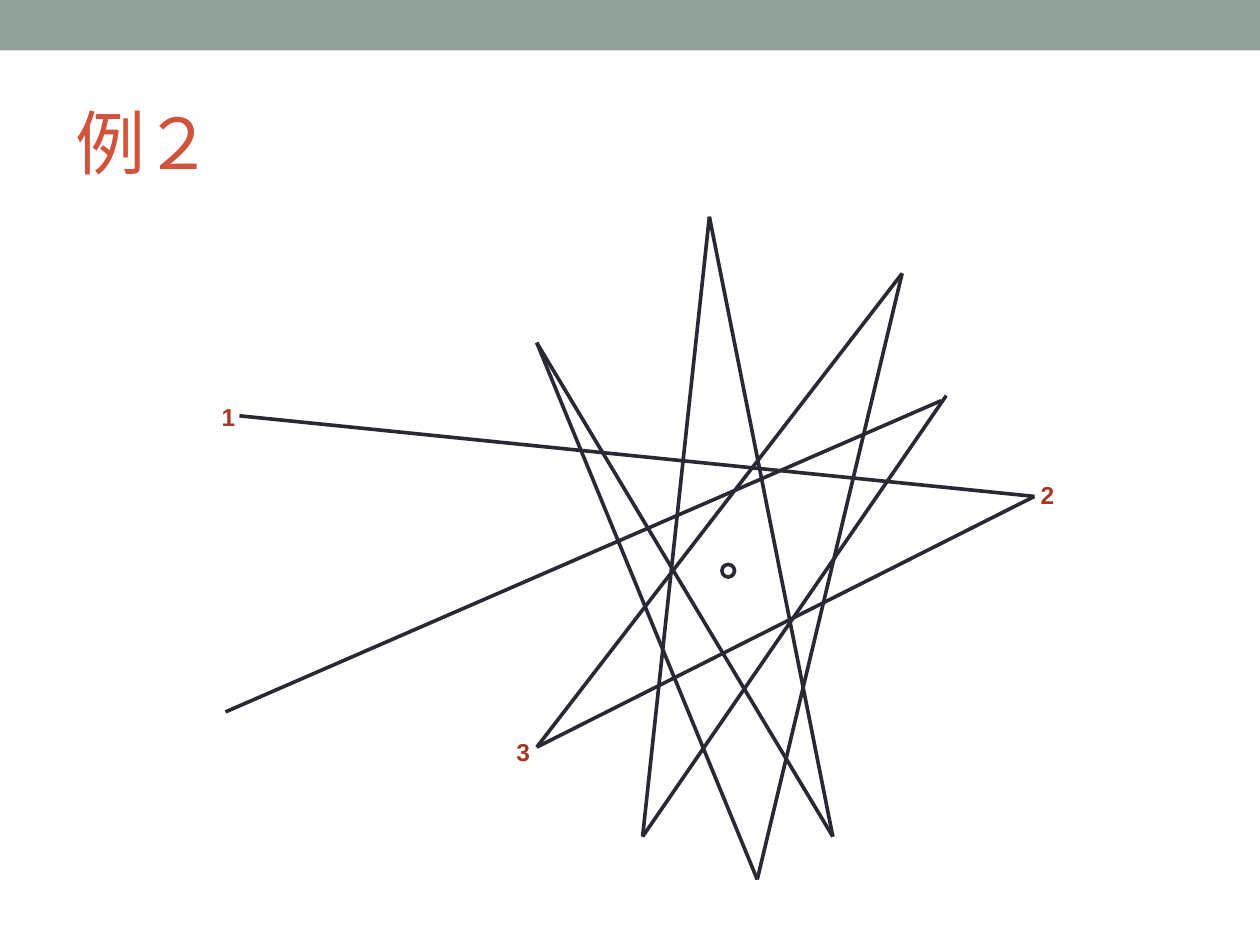
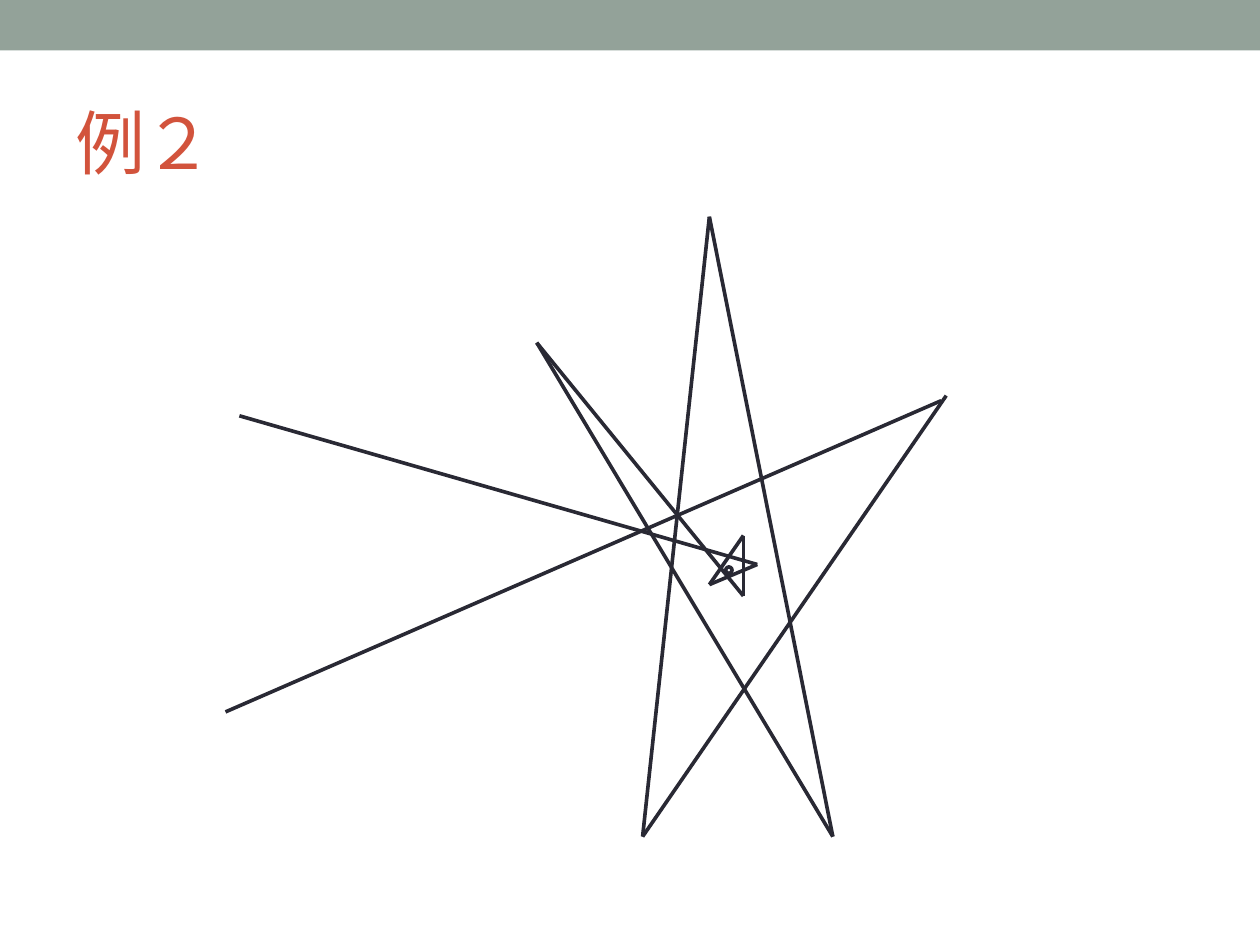
from dataclasses import dataclass
from itertools import pairwise

from lxml.etree import SubElement
from pptx import Presentation
from pptx.dml.color import RGBColor
from pptx.enum.shapes import MSO_CONNECTOR, MSO_SHAPE
from pptx.enum.text import MSO_ANCHOR, PP_ALIGN
from pptx.oxml.ns import qn
from pptx.util import Inches, Pt


@dataclass(frozen=True)
class Theme:
    band: RGBColor = RGBColor.from_string("93A299")
    title: RGBColor = RGBColor.from_string("D2533C")
    label: RGBColor = RGBColor.from_string("A53926")
    ink: RGBColor = RGBColor.from_string("292934")
    paper: RGBColor = RGBColor.from_string("FFFFFF")
    font: str = "Arial"
    title_size: int = 40
    label_size: int = 14
    stroke: float = 2.08


def apply_format(target, values):
    for name, value in values.items():
        setattr(target, name, value)


class SlideBuilder:
    def __init__(self, presentation, theme):
        self.presentation = presentation
        self.theme = theme
        self.slide = None

    def start_slide(self, title):
        layout = self.presentation.slide_layouts[6]
        self.slide = self.presentation.slides.add_slide(layout)
        self.shape(MSO_SHAPE.RECTANGLE, (0, 0, 10, 0.4), self.theme.band)
        run = self.text(title, (0.5, 0.58, 9, 1.08), 0.1, MSO_ANCHOR.MIDDLE,
                        self.theme.title_size, self.theme.title)
        run.font._element.set("spc", "-100")

    def shape(self, kind, box, fill, outlined=False):
        shape = self.slide.shapes.add_shape(kind, *map(Inches, box))
        shape.shadow.inherit = False
        shape.fill.solid()
        shape.fill.fore_color.rgb = fill
        if outlined:
            self.stroke(shape.line)
        else:
            shape.line.fill.background()

    def stroke(self, line):
        line.color.rgb = self.theme.ink
        line.width = Pt(self.theme.stroke)

    def text(self, content, box, right_margin, anchor, size, color, bold=False):
        frame = self.slide.shapes.add_textbox(*map(Inches, box)).text_frame
        apply_format(frame, {
            "word_wrap": True,
            "vertical_anchor": anchor,
            "margin_left": Inches(0.1),
            "margin_right": Inches(right_margin),
        })
        paragraph = frame.paragraphs[0]
        paragraph.alignment = PP_ALIGN.LEFT
        run = paragraph.add_run()
        run.text = content
        apply_format(run.font, {"name": self.theme.font, "size": Pt(size), "bold": bold})
        run.font.color.rgb = color
        return run

    def label(self, content, left, top):
        self.text(content, (left, top, 0.25, 0.34), 0, MSO_ANCHOR.TOP,
                  self.theme.label_size, self.theme.label, bold=True)

    def polyline(self, points):
        for start, end in pairwise(points):
            connector = self.slide.shapes.add_connector(
                MSO_CONNECTOR.STRAIGHT, *map(Inches, start + end))
            self.stroke(connector.line)
            SubElement(connector._element.spPr, qn("a:effectLst"))

    def center_dot(self, left, top, size):
        self.shape(MSO_SHAPE.OVAL, (left, top, size, size), self.theme.paper, outlined=True)


PATH_START = (1.9, 3.3)
SHARED_TAIL = [(4.26, 2.72), (6.61, 6.64), (5.63, 1.72), (5.1, 6.64), (7.51, 3.14)]
LAST_SEGMENT = [(7.47, 3.18), (1.79, 5.65)]

DIAGRAMS = [
    {
        "dot": (5.73, 4.48, 0.1),
        "turns": [(8.21, 3.94), (4.26, 5.93), (7.16, 2.17), (6.01, 6.98)],
        "labels": [("1", 1.66, 3.14), ("2", 8.16, 3.76), ("3", 4, 5.8)],
    },
    {
        "dot": (5.76, 4.5, 0.05),
        "turns": [(6.01, 4.48), (5.63, 4.64), (5.9, 4.25), (5.9, 4.73)],
        "labels": [],
    },
]


def main():
    presentation = Presentation()
    apply_format(presentation, {"slide_width": Inches(10), "slide_height": Inches(7.5)})
    builder = SlideBuilder(presentation, Theme())
    for diagram in DIAGRAMS:
        builder.start_slide("例２")
        builder.center_dot(*diagram["dot"])
        builder.polyline([PATH_START, *diagram["turns"], *SHARED_TAIL])
        builder.polyline(LAST_SEGMENT)
        for label in diagram["labels"]:
            builder.label(*label)
    presentation.save("out.pptx")


if __name__ == "__main__":
    main()
